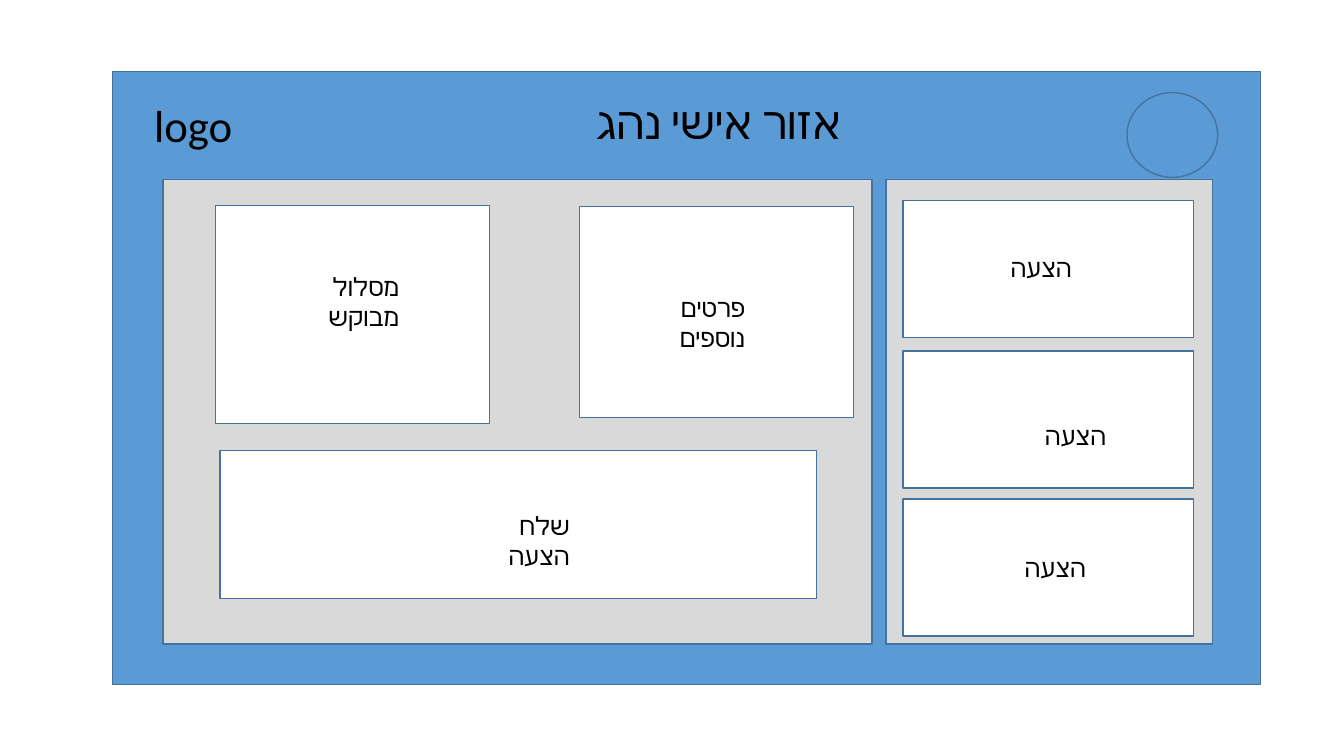
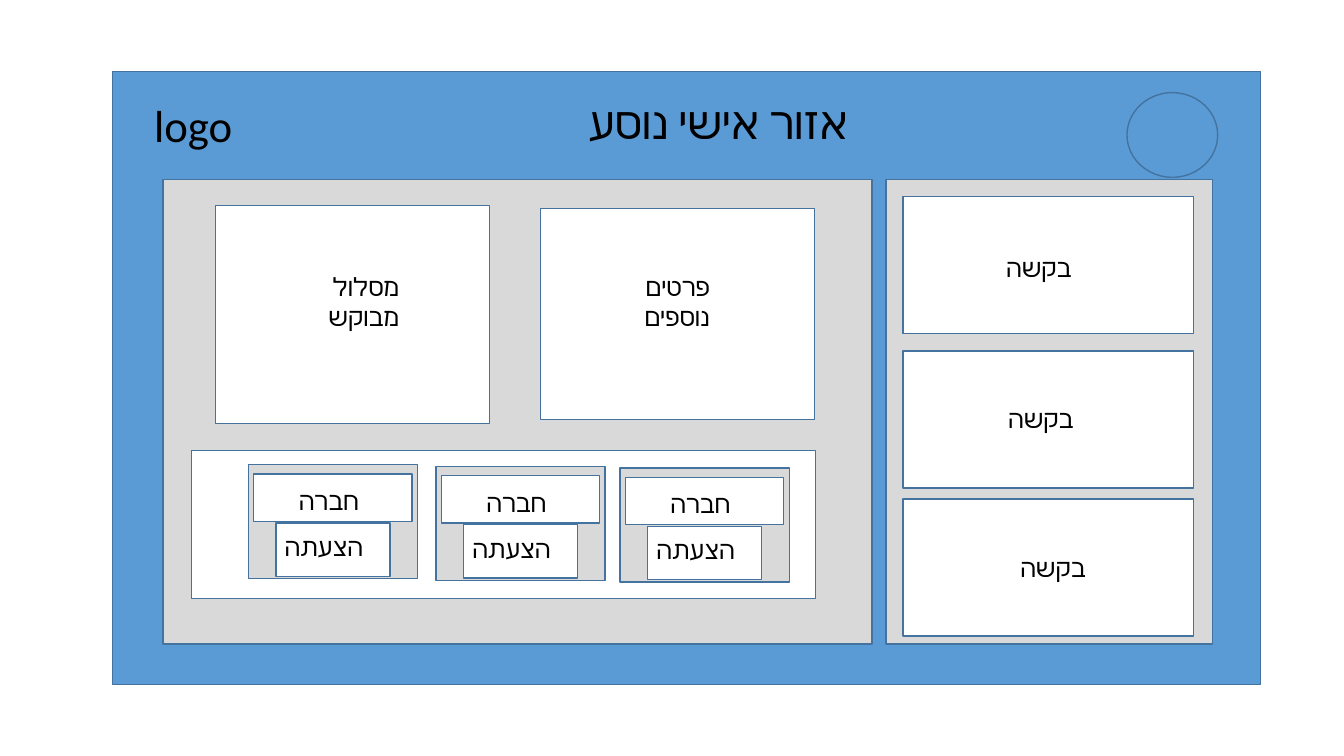
from lxml import etree
from pptx import Presentation
from pptx.dml.color import RGBColor
from pptx.enum.shapes import MSO_SHAPE
from pptx.enum.text import MSO_ANCHOR, MSO_AUTO_SIZE, PP_ALIGN
from pptx.oxml.ns import qn
from pptx.util import Pt

RECT, OVAL = MSO_SHAPE.RECTANGLE, MSO_SHAPE.OVAL
TOP, FIXED = MSO_ANCHOR.TOP, MSO_AUTO_SIZE.NONE
RIGHT, CENTER = PP_ALIGN.RIGHT, PP_ALIGN.CENTER
BLUE, EDGE, GREY = "5B9BD5", "43739E", "D9D9D9"
WHITE, BLACK = "FFFFFF", "000000"
FONT = "Calibri"
color = RGBColor.from_string


def box(slide, kind, fill, left, top, width, height):
    shape = slide.shapes.add_shape(kind, Pt(left), Pt(top), Pt(width), Pt(height))
    shape.shadow.inherit = False
    shape.fill.solid()
    shape.fill.fore_color.rgb = color(fill)
    shape.line.color.rgb = color(EDGE)
    shape.line.width = Pt(1)


def write(shape, text, size, align):
    frame = shape.text_frame
    frame.word_wrap = True
    frame.auto_size = FIXED
    frame.vertical_anchor = TOP
    para = frame.paragraphs[0]
    para.alignment = align
    para._p.get_or_add_pPr().set("rtl", "1")
    run = para.add_run()
    run.text = text
    run.font.size = Pt(size)
    run.font.name = FONT
    run.font.color.rgb = color(BLACK)
    etree.SubElement(run._r.get_or_add_rPr(), qn("a:cs")).set("typeface", FONT)


driver = {
    "title": "אזור אישי נהג",
    "details": (414, 147.6),
    "strip": (157, 426.2),
    "first": 143.3,
    "firms": [],
    "labels": [
        ("פרטים נוספים", 442.8, 205.2),
        ("שלח הצעה", 317.5, 360.7),
        ("הצעה", 676.1, 176.4),
        ("הצעה", 700.6, 296.6),
        ("הצעה", 686.2, 391),
    ],
}
rider = {
    "title": "אזור אישי נוסע",
    "details": (385.9, 149),
    "strip": (136.8, 445.7),
    "first": 140.4,
    "firms": [(442.8, 334.3), (311.3, 333.2), (177.3, 332)],
    "labels": [
        ("פרטים נוספים", 417.6, 190.1),
        ("בקשה", 676.1, 176.4),
        ("בקשה", 677.5, 284.4),
        ("בקשה", 686.2, 391),
    ],
}

deck = Presentation()
deck.slide_width, deck.slide_height = Pt(960), Pt(540)
layout = deck.slide_layouts[5]

for area in (driver, rider):
    slide = deck.slides.add_slide(layout)
    box(slide, RECT, BLUE, 80.6, 51.1, 820, 437.8)
    box(slide, OVAL, BLUE, 805, 66.2, 64.8, 60.5)
    for left, width in ((116.6, 506.2), (632.9, 233.3)):
        box(slide, RECT, GREY, left, 128.2, width, 331.9)

    title = slide.shapes.title
    title.left, title.top, title.width, title.height = Pt(393.1), Pt(64.1), Pt(240), Pt(46.8)
    write(title, area["title"], 32, CENTER)
    slide.shapes.element.append(title.element)
    logo = slide.shapes.add_textbox(Pt(18), Pt(66.2), Pt(240), Pt(46.8))
    write(logo, "logo", 32, CENTER)

    box(slide, RECT, WHITE, 154.1, 146.9, 195.8, 155.5)
    box(slide, RECT, WHITE, *area["details"], 195.8, 150.5)
    left, width = area["strip"]
    box(slide, RECT, WHITE, left, 321.8, width, 105.8)
    for top in (area["first"], 250.6, 356.4):
        box(slide, RECT, WHITE, 645.1, top, 207.4, 97.9)

    labels = [("מסלול מבוקש", 195.8, 190.1)] + area["labels"]
    for left, top in area["firms"]:
        box(slide, RECT, GREY, left, top, 121, 81.4)
        box(slide, RECT, WHITE, left + 4, top + 6.6, 113, 33.8)
        box(slide, RECT, WHITE, left + 19.8, top + 41.6, 81.4, 38.2)
        labels += [("חברה", left - 10.4, top + 11.3), ("הצעתה", left - 7.3, top + 43.9)]

    for text, left, top in labels:
        label = slide.shapes.add_textbox(Pt(left), Pt(top), Pt(96.5), Pt(28.8))
        write(label, text, 18, RIGHT)

deck.save("out.pptx")
